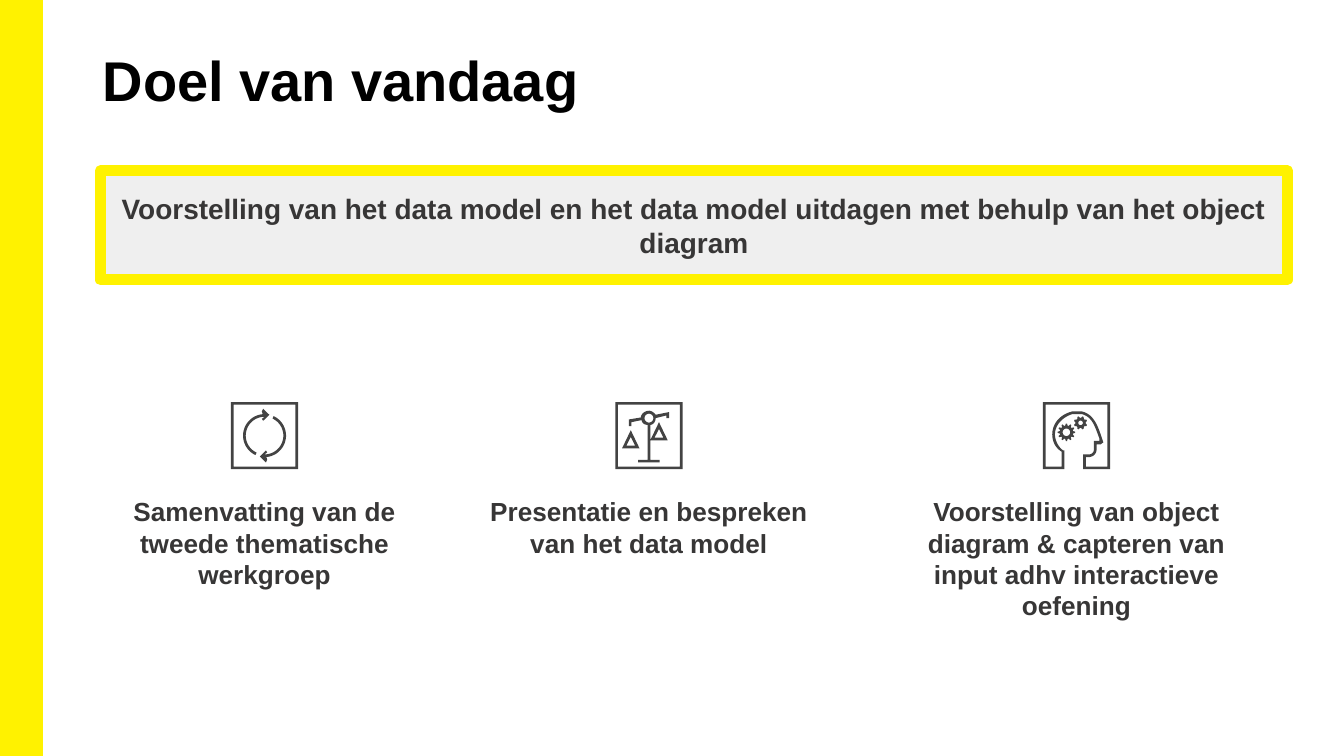
from math import cos, pi, radians, sin

from pptx import Presentation
from pptx.dml.color import RGBColor
from pptx.enum.shapes import MSO_SHAPE
from pptx.enum.text import MSO_ANCHOR, PP_ALIGN
from pptx.util import Cm, Pt

COLORS = {
    "accent": "FFF200",
    "panel": "EFEFEF",
    "title": "000000",
    "body": "373636",
    "icon": "434343",
}
ICON_UNIT = 0.0254  # cm; an icon is 50 units square
ICON_TOP = 7.6
LABEL_TOP = 9.24

TITLE = "Doel van vandaag"
GOAL = ("Voorstelling van het data model en het data model uitdagen "
        "met behulp van het object diagram")

FRAME = [(0, 0), (0, 50), (50, 50), (50, 0)]
FRAME_HOLE = [(2, 2), (2, 48), (48, 48), (48, 2)]


def color(name):
    return RGBColor.from_string(COLORS[name])


def write_text(frame, text, size, color_name="body", align=PP_ALIGN.CENTER,
               anchor=MSO_ANCHOR.TOP, inset=(0.25, 0.13)):
    frame.word_wrap = True
    frame.vertical_anchor = anchor
    frame.margin_left = frame.margin_right = Cm(inset[0])
    frame.margin_top = frame.margin_bottom = Cm(inset[1])
    para = frame.paragraphs[0]
    para.alignment = align
    span = para.add_run()
    span.text = text
    span.font.name = "Arial"
    span.font.size = Pt(size)
    span.font.bold = True
    span.font.color.rgb = color(color_name)


def add_text(slide, text, left, top, width, height, **text_format):
    box = slide.shapes.add_textbox(Cm(left), Cm(top), Cm(width), Cm(height))
    write_text(box.text_frame, text, **text_format)


def add_rectangle(slide, left, top, width, height, fill, line_width):
    box = slide.shapes.add_shape(MSO_SHAPE.RECTANGLE, Cm(left), Cm(top),
                                 Cm(width), Cm(height))
    box.shadow.inherit = False
    box.fill.solid()
    box.fill.fore_color.rgb = color(fill)
    box.line.color.rgb = color("accent")
    box.line.width = Pt(line_width)
    return box


def arc(center_x, center_y, radius, start, end, steps=36):
    """Points along an arc; angles in degrees, clockwise from the right."""
    angles = [radians(start + (end - start) * i / steps) for i in range(steps + 1)]
    return [(center_x + radius * cos(a), center_y + radius * sin(a)) for a in angles]


def flatten(outline, steps=12):
    """Turn line points (x, y) and cubic curves (six numbers) into points."""
    points = []
    for part in outline:
        if len(part) == 2:
            points.append(part)
            continue
        controls = [points[-1], part[0:2], part[2:4], part[4:6]]
        for i in range(1, steps + 1):
            t = i / steps
            weights = [(1 - t) ** 3, 3 * t * (1 - t) ** 2, 3 * t * t * (1 - t), t ** 3]
            points.append(tuple(sum(w * c[axis] for w, c in zip(weights, controls))
                                for axis in (0, 1)))
    return points


def gear(center_x, center_y, radius, hole, teeth, turn=0):
    """Contours of a cog wheel and its hole."""
    rim = []
    for i in range(teeth * 4):
        distance = radius if i % 4 < 2 else radius * 0.76
        angle = 2 * pi * (i - 0.5) / (teeth * 4) + radians(turn)
        rim.append((center_x + distance * cos(angle), center_y + distance * sin(angle)))
    return [rim, arc(center_x, center_y, hole, 0, 360)]


def cycle_parts():
    arrow = (arc(25, 25, 14, 270, 115) + arc(25, 25, 16, 115, 265)
             + [(23, 7), (24, 5), (28.5, 9.5), (24, 14), (23, 12.5)])
    opposite = [(50 - x, 50 - y) for x, y in arrow]
    return [[FRAME, FRAME_HOLE], [arrow], [opposite]]


def scales_parts():
    beam = [(12, 15), (19.5, 13.5), (20, 16, 22, 17, 24, 17), (24, 43), (17, 43),
            (17, 45), (33, 45), (33, 43), (26, 43), (26, 17),
            (28, 17, 30, 15, 30, 12), (38, 10), (38, 12), (40, 12), (40, 7.5),
            (30, 9.5), (29, 8, 27, 6.5, 25, 6.5), (22, 6.5, 19, 9, 19, 11.5),
            (10, 13), (10, 18), (12, 18)]
    contours = [FRAME, FRAME_HOLE, beam, arc(25, 12, 3.3, 0, 360)]
    for x, y in ((11.5, 21), (32.5, 15)):
        contours.append([(x, y), (x - 6.5, y + 13.5), (x + 6.5, y + 13.5)])
        contours.append([(x, y + 5), (x - 3.3, y + 11.5), (x + 3.3, y + 11.5)])
    return [contours]


def head_parts():
    outside = [(0, 0), (0, 50), (16, 50), (16, 36), (15, 36), (11, 33, 9, 28, 9, 24),
               (9, 17, 15, 11, 22, 9), (29, 9), (37, 11, 39, 19, 42, 27), (42, 29),
               (38, 29), (38, 35), (38, 38, 36, 39, 34, 39), (30, 39), (30, 50),
               (50, 50), (50, 0)]
    inside = [(48, 48), (32, 48), (32, 41), (34, 41), (37, 41, 40, 39, 40, 35),
              (40, 31.5), (43, 31.5), (45, 30), (44, 27), (41, 18, 38, 9, 29, 7),
              (22, 7), (13, 9, 7, 16, 7, 24), (7, 29, 9, 34, 14, 37), (14, 48),
              (2, 48), (2, 2), (48, 2)]
    return [[outside, inside], gear(17.5, 22.5, 6.5, 2.8, 12),
            gear(28, 15.5, 5, 1.7, 8, 22.5)]


def add_icon(slide, left, parts):
    """Draw each part, a list of contours, as one filled outline."""
    shapes = slide.shapes.add_group_shape().shapes if len(parts) > 1 else slide.shapes
    for contours in parts:
        builder = None
        for contour in contours:
            points = [(Cm(left + x * ICON_UNIT), Cm(ICON_TOP + y * ICON_UNIT))
                      for x, y in flatten(contour)]
            if builder is None:
                builder = shapes.build_freeform(*points[0])
            else:
                builder.move_to(*points[0])
            builder.add_line_segments(points[1:], close=True)
        outline = builder.convert_to_shape()
        outline.shadow.inherit = False
        outline.fill.solid()
        outline.fill.fore_color.rgb = color("icon")
        outline.line.fill.background()


def main():
    deck = Presentation()
    deck.slide_width, deck.slide_height = Cm(25.4), Cm(14.29)
    slide = deck.slides.add_slide(deck.slide_layouts[6])

    add_rectangle(slide, 0, 0, 0.8, 14.29, "accent", 1)
    add_text(slide, TITLE, 1.75, 0.76, 21.9, 2.06, size=30, color_name="title",
             align=PP_ALIGN.LEFT, inset=(0.19, 0.1))
    banner = add_rectangle(slide, 1.9, 3.23, 22.43, 2.06, "panel", 6)
    write_text(banner.text_frame, GOAL, size=15, anchor=MSO_ANCHOR.MIDDLE)

    topics = [
        ("Samenvatting van de tweede thematische werkgroep", 1.55, 6.9, cycle_parts()),
        ("Presentatie en bespreken van het data model", 8.71, 7.11, scales_parts()),
        ("Voorstelling van object diagram & capteren van input adhv interactieve oefening",
         16.79, 7.11, head_parts()),
    ]
    for label, left, width, parts in topics:
        add_text(slide, label, left, LABEL_TOP, width, 3.25, size=14)
        add_icon(slide, left + (width - 50 * ICON_UNIT) / 2, parts)

    deck.save("out.pptx")


if __name__ == "__main__":
    main()
